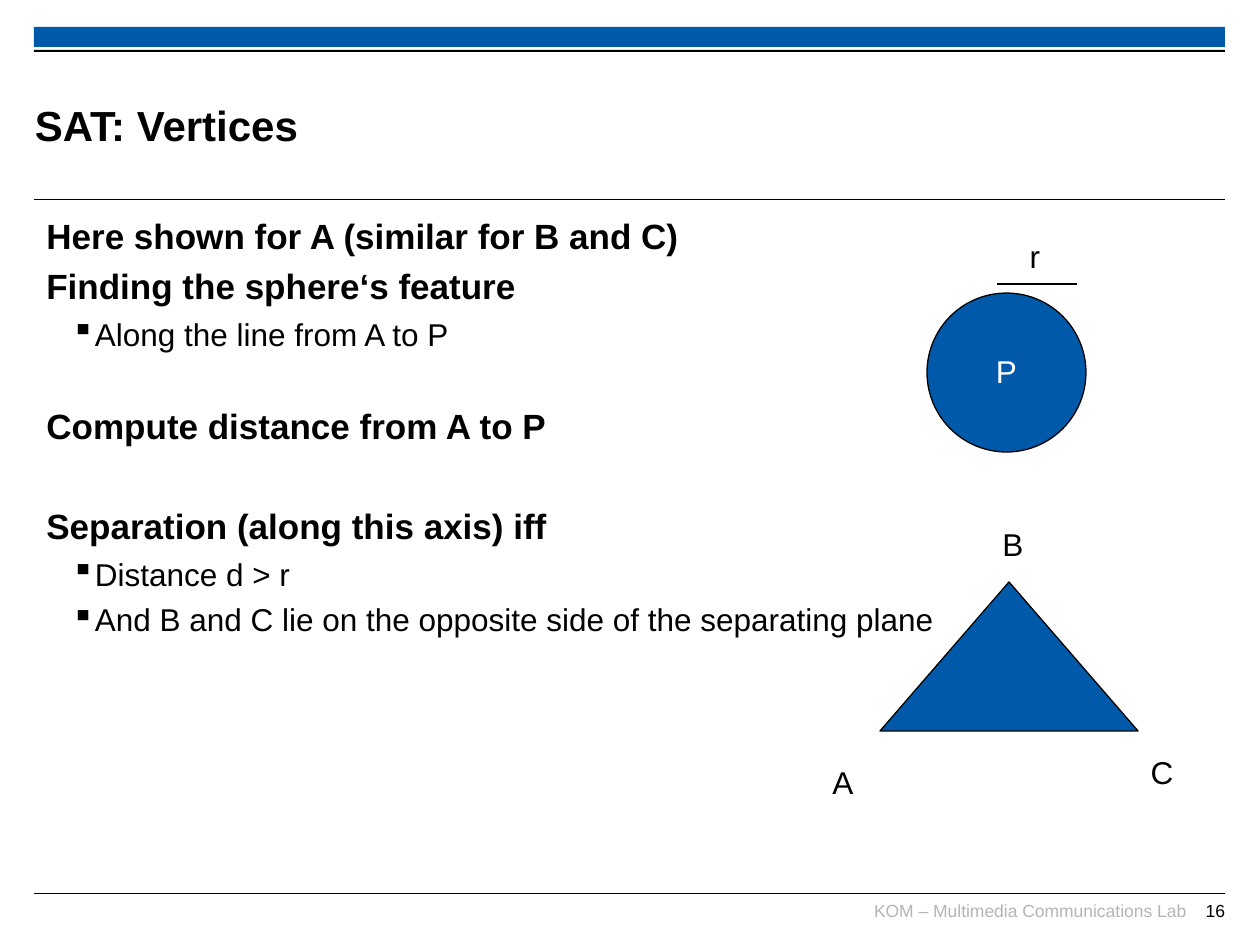
from lxml import etree
from pptx import Presentation
from pptx.dml.color import RGBColor
from pptx.enum.shapes import MSO_CONNECTOR, MSO_SHAPE
from pptx.enum.text import MSO_ANCHOR, MSO_AUTO_SIZE, PP_ALIGN
from pptx.oxml.ns import qn
from pptx.util import Emu, Pt

PX_PER_INCH = 126
FONT = "Arial"
BLUE, BLACK, WHITE, GRAY = "005AA9", "000000", "FFFFFF", "B5B5B5"
LEFT, RIGHT, CENTER = PP_ALIGN.LEFT, PP_ALIGN.RIGHT, PP_ALIGN.CENTER
TOP, MIDDLE = MSO_ANCHOR.TOP, MSO_ANCHOR.MIDDLE
RECTANGLE, OVAL = MSO_SHAPE.RECTANGLE, MSO_SHAPE.OVAL
TRIANGLE = MSO_SHAPE.ISOSCELES_TRIANGLE
STRAIGHT = MSO_CONNECTOR.STRAIGHT
FIT_SHAPE = MSO_AUTO_SIZE.SHAPE_TO_FIT_TEXT

MARGIN, CONTENT_WIDTH = 34, 1191
HEADING, BULLET = "heading", "bullet"
BODY = [
    (HEADING, "Here shown for A (similar for B and C)", 0),
    (HEADING, "Finding the sphere‘s feature", 5),
    (BULLET, "Along the line from A to P", 4.5),
    (HEADING, "Compute distance from A to P", 30),
    (HEADING, "Separation (along this axis) iff", 33),
    (BULLET, "Distance d > r", 4.5),
    (BULLET, "And B and C lie on the opposite side of the separating plane", 4.5),
]
CORNERS = [("A", 819, 760), ("B", 989, 522), ("C", 1138, 750)]


def px(value):
    """Turn pixels into EMU."""
    return Emu(round(value * 914400 / PX_PER_INCH))


def color(value):
    """Turn a hex string into a colour."""
    return RGBColor.from_string(value)


def style(paragraph, size, fill=BLACK, bold=False, align=LEFT):
    """Set the font and alignment of a paragraph."""
    paragraph.alignment = align
    font = paragraph.font
    font.name, font.size, font.bold = FONT, Pt(size), bold
    font.color.rgb = color(fill)


def add_shape(shapes, kind, left, top, width, height, fill, outline=None):
    """Add a filled shape, outlined if a line colour is given."""
    shape = shapes.add_shape(kind, px(left), px(top), px(width), px(height))
    shape.shadow.inherit = False
    shape.fill.solid()
    shape.fill.fore_color.rgb = color(fill)
    if outline:
        shape.line.color.rgb = color(outline)
        shape.line.width = Pt(0.75)
    else:
        shape.line.fill.background()
    return shape


def add_rule(shapes, left, right, y, weight):
    """Add a horizontal black line."""
    line = shapes.add_connector(STRAIGHT, px(left), px(y), px(right), px(y))
    line.line.color.rgb = color(BLACK)
    line.line.width = Pt(weight)
    etree.SubElement(line._element.spPr, qn("a:effectLst"))


def add_text(shapes, text, left, top, width, height, size, anchor=TOP, **look):
    """Add a one-paragraph text box without insets."""
    box = shapes.add_textbox(px(left), px(top), px(width), px(height))
    frame = box.text_frame
    frame.word_wrap = True
    frame.vertical_anchor = anchor
    frame.margin_left = frame.margin_top = 0
    frame.margin_right = frame.margin_bottom = 0
    frame.text = text
    style(frame.paragraphs[0], size, **look)


def write_label(frame, text, fill=BLACK):
    """Write a centred diagram letter that does not wrap."""
    frame.word_wrap = False
    frame.text = text
    paragraph = frame.paragraphs[0]
    paragraph.line_spacing = 0.93
    style(paragraph, 18, fill, align=CENTER)


def add_label(shapes, text, left, top, width):
    """Add a letter in a text box that fits it."""
    box = shapes.add_textbox(px(left), px(top), px(width), px(49))
    write_label(box.text_frame, text)
    box.text_frame.auto_size = FIT_SHAPE


def set_bullet(paragraph):
    """Give a paragraph a square bullet with a hanging indent."""
    properties = paragraph._p.get_or_add_pPr()
    properties.set("marL", str(px(48)))
    properties.set("indent", str(px(-23)))
    etree.SubElement(properties, qn("a:buChar"), char="▪")


def add_body(shapes):
    """Add the headings and their bullets."""
    box = shapes.add_textbox(px(MARGIN), px(204), px(CONTENT_WIDTH), px(684))
    frame = box.text_frame
    frame.word_wrap = True
    frame.margin_top = px(10)
    for index, (kind, text, space) in enumerate(BODY):
        paragraph = frame.add_paragraph() if index else frame.paragraphs[0]
        paragraph.text = text
        if kind == BULLET:
            set_bullet(paragraph)
        paragraph.space_before = Pt(space)
        style(paragraph, 20 if kind == HEADING else 18, bold=kind == HEADING)


def add_frame(shapes):
    """Add the bars, rules and footer of the page."""
    right = MARGIN + CONTENT_WIDTH
    add_shape(shapes, RECTANGLE, MARGIN, 27, CONTENT_WIDTH, 20, BLUE)
    add_shape(shapes, RECTANGLE, MARGIN, 50, CONTENT_WIDTH, 2, BLACK)
    for y in (200, 894):
        add_rule(shapes, MARGIN, right, y, 0.6)
    add_text(shapes, "KOM – Multimedia Communications Lab", 868, 900, 318, 31,
             10, fill=GRAY, align=RIGHT)
    add_text(shapes, "16", 1171, 900, 54, 31, 10, align=RIGHT)


def add_diagram(shapes):
    """Add the labelled triangle and the sphere with its radius."""
    group = shapes.add_group_shape()
    add_shape(group.shapes, TRIANGLE, 880, 582, 258, 149, BLUE, BLACK)
    for letter, left, top in CORNERS:
        add_label(group.shapes, letter, left, top, 48)
    sphere = add_shape(shapes, OVAL, 927, 293, 159, 159, BLUE, BLACK)
    sphere.text_frame.vertical_anchor = MIDDLE
    write_label(sphere.text_frame, "P", WHITE)
    add_rule(shapes, 997, 1077, 284, 0.75)
    add_label(shapes, "r", 1017, 234, 36)


def main():
    """Build and save the slide."""
    presentation = Presentation()
    presentation.slide_width = px(1260)
    presentation.slide_height = px(945)
    slide = presentation.slides.add_slide(presentation.slide_layouts[6])
    shapes = slide.shapes
    add_frame(shapes)
    add_body(shapes)
    add_text(shapes, "SAT: Vertices", 35, 67, 948, 116, 24, MIDDLE, bold=True)
    add_diagram(shapes)
    presentation.save("out.pptx")


if __name__ == "__main__":
    main()
